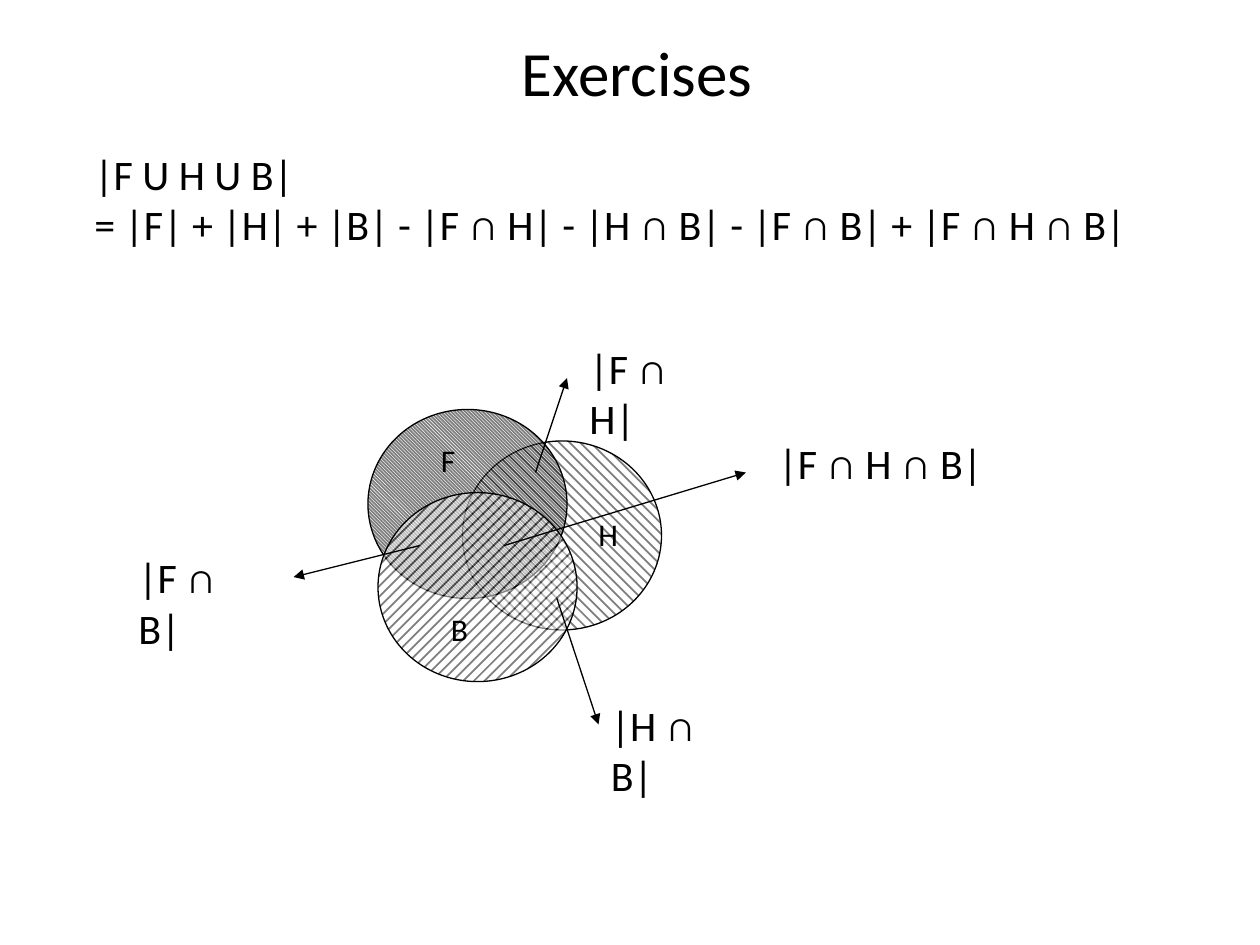
from lxml.etree import SubElement as Sub
from pptx import Presentation
from pptx.dml.color import RGBColor
from pptx.enum.dml import MSO_PATTERN as Pat
from pptx.enum.shapes import MSO_CONNECTOR as Conn, MSO_SHAPE as Kind
from pptx.enum.text import MSO_ANCHOR as Anchor, PP_ALIGN as Align
from pptx.oxml.ns import qn
from pptx.util import Inches, Pt

BLACK = "000000"
WHITE = "FFFFFF"
FONT = "Calibri"

SETS = [
    (3.67, 3.5, Pat.DASHED_DOWNWARD_DIAGONAL),
    (2.92, 3.25, Pat.LIGHT_DOWNWARD_DIAGONAL),
    (3, 3.91, Pat.PERCENT_20),
]
ARROWS = [
    (3.33, 4.33, 2.33, 4.58),
    (4.25, 3.75, 4.5, 3),
    (4.42, 4.75, 4.75, 5.75),
    (4, 4.33, 5.92, 3.75),
]
NAMES = [("F", 3.4, 3.45), ("H", 4.65, 4.04), ("B", 3.48, 4.79)]
PAIRS = [("|F ∩ H|", 4.58, 2.67), ("|H ∩ B|", 4.75, 5.5), ("|F ∩ B|", 1, 4.33)]
SUM = [
    "|F U H U B|",
    "= |F| + |H| + |B| - |F ∩ H| - |H ∩ B| - |F ∩ B| + |F ∩ H ∩ B|",
]


def tint(color, code):
    color.rgb = RGBColor.from_string(code)


def place(*box):
    return [Inches(n) for n in box]


def style(item, values):
    for name, value in values.items():
        setattr(item, name, value)


def write(parent, lines, box, size, align=Align.LEFT, anchor=Anchor.TOP):
    frame = parent.add_textbox(*place(*box)).text_frame
    style(frame, {"word_wrap": True, "vertical_anchor": anchor})
    frame.text = "\n".join(lines)
    for para in frame.paragraphs:
        para.alignment = align
        style(para.font, {"name": FONT, "size": Pt(size)})
        tint(para.font.color, BLACK)


def circle(parent, left, top, pattern):
    shape = parent.add_shape(Kind.OVAL, *place(left, top, 1.58, 1.5))
    shape.shadow.inherit = False
    fill = shape.fill
    fill.patterned()
    fill.pattern = pattern
    tint(fill.fore_color, BLACK)
    tint(fill.back_color, WHITE)
    for node in shape.element.spPr.find(qn("a:pattFill")).iter(qn("a:srgbClr")):
        Sub(node, qn("a:alpha"), val="50000")
    tint(shape.line.color, BLACK)
    shape.line.width = Pt(0.75)


def arrow(parent, ends):
    link = parent.add_connector(Conn.STRAIGHT, *place(*ends))
    tint(link.line.color, BLACK)
    link.line.width = Pt(0.75)
    Sub(link.line._get_or_add_ln(), qn("a:tailEnd"), type="triangle")
    Sub(link.element.spPr, qn("a:effectLst"))


def main():
    deck = Presentation()
    deck.slide_width, deck.slide_height = place(10, 7.5)
    slide = deck.slides.add_slide(deck.slide_layouts[6])
    write(slide.shapes, [" Exercises"], (0.5, 0.3, 9, 0.53), 36,
          Align.CENTER, Anchor.MIDDLE)
    write(slide.shapes, SUM, (0.65, 1.13, 8.51, 1.3), 24)

    venn = slide.shapes.add_group_shape().shapes
    for row in SETS:
        circle(venn, *row)
    for ends in ARROWS:
        arrow(venn, ends)
    for text, left, top in NAMES:
        write(venn, [text], (left, top, 0.38, 0.4), 18)
    for text, left, top in PAIRS:
        write(venn, [text], (left, top, 1.22, 0.5), 24)
    write(venn, ["|F ∩ H ∩ B|"], (6.08, 3.42, 1.89, 0.5), 24)
    deck.save("out.pptx")


if __name__ == "__main__":
    main()
